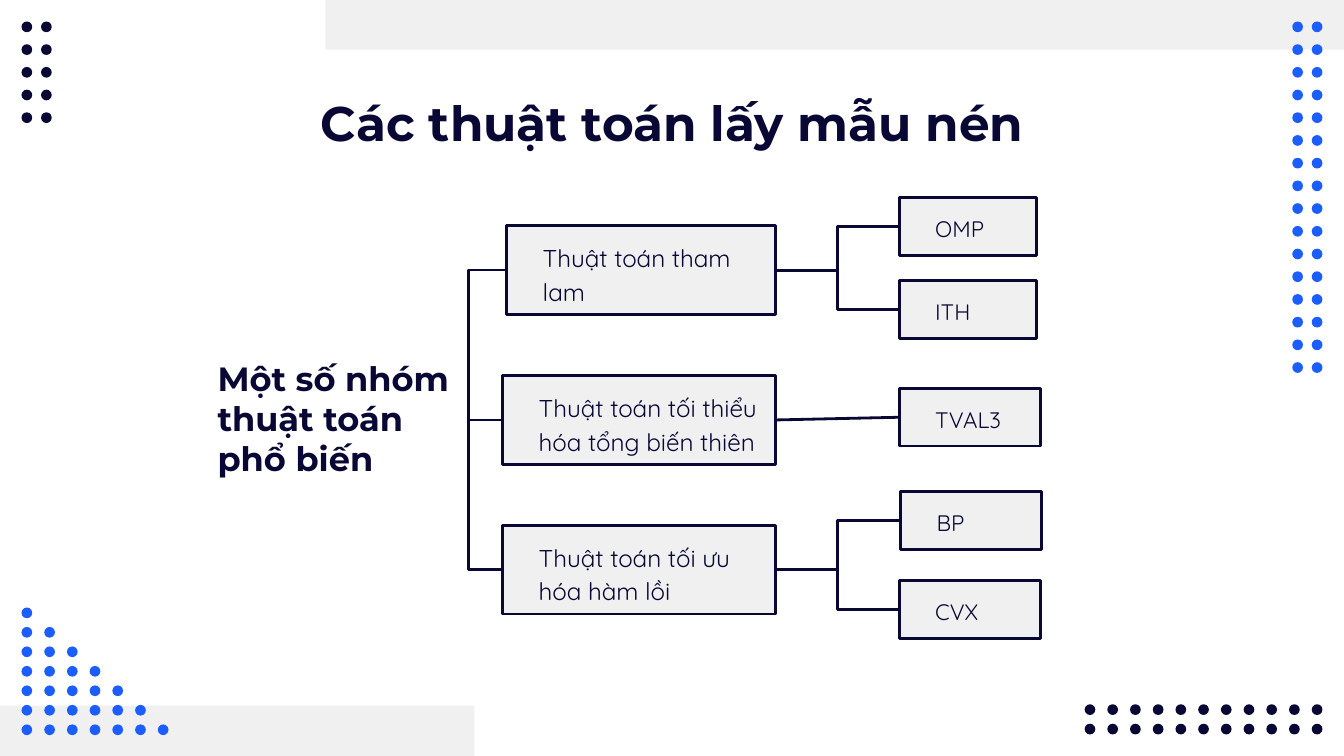
from dataclasses import dataclass

from lxml.etree import SubElement
from pptx import Presentation
from pptx.dml.color import RGBColor
from pptx.enum.shapes import MSO_CONNECTOR, MSO_SHAPE
from pptx.enum.text import MSO_ANCHOR, PP_ALIGN
from pptx.oxml.ns import qn
from pptx.util import Emu, Inches, Pt

CELL = Inches(0.1)  # the slide is 100 columns by 56.25 rows
COLS, ROWS = 100, 56.25


@dataclass(frozen=True)
class Theme:
    ink: str = "090835"
    blue: str = "1C5DFD"
    pale: str = "F0F0F0"
    head: str = "Montserrat"
    body: str = "Quicksand"
    title: int = 26
    root: int = 18
    group: int = 13
    leaf: int = 12
    line: float = 1.5


@dataclass(frozen=True)
class Box:
    col: float
    row: float
    wide: float
    high: float

    @property
    def left(self) -> tuple[float, float]:
        return self.col, self.row + self.high / 2

    @property
    def right(self) -> tuple[float, float]:
        return self.col + self.wide, self.row + self.high / 2


@dataclass(frozen=True)
class Leaf:
    text: str
    box: Box


@dataclass(frozen=True)
class Group:
    text: str
    box: Box
    leaves: tuple[Leaf, ...]


@dataclass(frozen=True)
class Dots:
    col: float
    row: float
    counts: tuple[int, ...]  # dots in each row
    across: float
    down: float
    color: str


THEME = Theme()
DOT, WIDE, TIGHT = 0.8, 1.69, 1.45
TRUNK, FORK = 34.85, 62.3  # columns where the links bend

BANDS = (Box(24.2, 0, 75.8, 3.7), Box(0, 52.5, 35.3, 3.75))
DOTS = (
    Dots(96.15, 1.6, (2,) * 16, TIGHT, WIDE, THEME.blue),
    Dots(1.6, 45.2, tuple(range(1, 8)), WIDE, TIGHT, THEME.blue),
    Dots(1.6, 1.6, (2,) * 5, TIGHT, WIDE, THEME.ink),
    Dots(80.7, 52.4, (11,) * 2, WIDE, TIGHT, THEME.ink),
)
GROUPS = (
    Group("Thuật toán tham lam", Box(37.7, 16.8, 20, 6.6), (
        Leaf("OMP", Box(66.9, 14.7, 10.25, 4.3)),
        Leaf("ITH", Box(66.9, 20.9, 10.25, 4.3)))),
    Group("Thuật toán tối thiểu hóa tổng biến thiên", Box(37.4, 27.95, 20.3, 6.6), (
        Leaf("TVAL3", Box(66.9, 28.9, 10.5, 4.3)),)),
    Group("Thuật toán tối ưu hóa hàm lồi", Box(37.4, 39.1, 20.3, 6.6), (
        Leaf("BP", Box(67, 36.6, 10.5, 4.3)),
        Leaf("CVX", Box(66.9, 43.2, 10.5, 4.3)))),
)


def span(cells: float) -> Emu:
    """Turn grid cells into a slide length."""
    return Emu(round(cells * CELL))


def place(box: Box) -> list[Emu]:
    return [span(n) for n in (box.col, box.row, box.wide, box.high)]


def draw(slide, kind, box: Box, fill: str, line: str | None = None):
    shape = slide.shapes.add_shape(kind, *place(box))
    shape.shadow.inherit = False
    shape.fill.solid()
    shape.fill.fore_color.rgb = RGBColor.from_string(fill)
    if line:
        shape.line.color.rgb = RGBColor.from_string(line)
        shape.line.width = Pt(THEME.line)
    else:
        shape.line.fill.background()
    return shape


def write(shape, text: str, *, size: int, font: str, bold: bool = False,
          align=PP_ALIGN.LEFT, anchor=MSO_ANCHOR.TOP,
          indent: float = 0, lead: float = 1) -> None:
    frame = shape.text_frame
    frame.word_wrap = True
    frame.vertical_anchor = anchor
    frame.margin_left = frame.margin_right = CELL
    frame.margin_top = frame.margin_bottom = CELL
    para = frame.paragraphs[0]
    para.alignment = align
    para.line_spacing = lead
    if indent:
        props = para._p.get_or_add_pPr()
        props.set("marL", str(span(indent)))
        props.set("indent", "0")
    run = para.add_run()
    run.text = text
    run.font.size, run.font.name, run.font.bold = Pt(size), font, bold
    run.font.color.rgb = RGBColor.from_string(THEME.ink)


def link(slide, start: tuple[float, float], end: tuple[float, float],
         bend: float | None = None) -> None:
    """Join two points, straight or with an elbow at column bend."""
    kind = MSO_CONNECTOR.STRAIGHT if bend is None else MSO_CONNECTOR.ELBOW
    wire = slide.shapes.add_connector(kind, *map(span, (*start, *end)))
    wire.line.color.rgb = RGBColor.from_string(THEME.ink)
    wire.line.width = Pt(THEME.line)
    props = wire._element.spPr
    SubElement(props, qn("a:effectLst"))
    if bend is not None:
        share = (bend - start[0]) / (end[0] - start[0])
        guides = props.find(qn("a:prstGeom")).get_or_add_avLst()
        SubElement(guides, qn("a:gd"), name="adj1", fmla=f"val {round(share * 100000)}")


def scatter(slide, dots: Dots) -> None:
    for i, count in enumerate(dots.counts):
        for j in range(count):
            spot = Box(dots.col + j * dots.across, dots.row + i * dots.down, DOT, DOT)
            draw(slide, MSO_SHAPE.OVAL, spot, dots.color)


def label(slide, box: Box, text: str, size: int) -> None:
    shape = draw(slide, MSO_SHAPE.RECTANGLE, box, THEME.pale, THEME.ink)
    write(shape, text, size=size, font=THEME.body, indent=1.7, lead=1.15)


def branch(slide, group: Group) -> None:
    label(slide, group.box, group.text, THEME.group)
    for leaf in group.leaves:
        label(slide, leaf.box, leaf.text, THEME.leaf)
        bend = FORK if len(group.leaves) > 1 else None
        link(slide, group.box.right, leaf.box.left, bend)


def main() -> None:
    deck = Presentation()
    deck.slide_width, deck.slide_height = span(COLS), span(ROWS)
    slide = deck.slides.add_slide(deck.slide_layouts[6])
    for band in BANDS:
        draw(slide, MSO_SHAPE.RECTANGLE, band, THEME.pale)
    for dots in DOTS:
        scatter(slide, dots)

    title = slide.shapes.add_textbox(*place(Box(7.9, 5.9, 84.3, 6.3)))
    write(title, "Các thuật toán lấy mẫu nén", size=THEME.title,
          font=THEME.head, bold=True, align=PP_ALIGN.CENTER)
    for group in GROUPS:
        branch(slide, group)
    first, middle, last = (group.box.left for group in GROUPS)
    link(slide, last, first, TRUNK)
    link(slide, (last[0] + 0.1, last[1]), middle, TRUNK)
    root = slide.shapes.add_textbox(*place(Box(15.2, 25.6, 21.1, 11)))
    write(root, "Một số nhóm thuật toán phổ biến", size=THEME.root,
          font=THEME.head, bold=True, anchor=MSO_ANCHOR.BOTTOM)
    deck.save("out.pptx")


if __name__ == "__main__":
    main()
